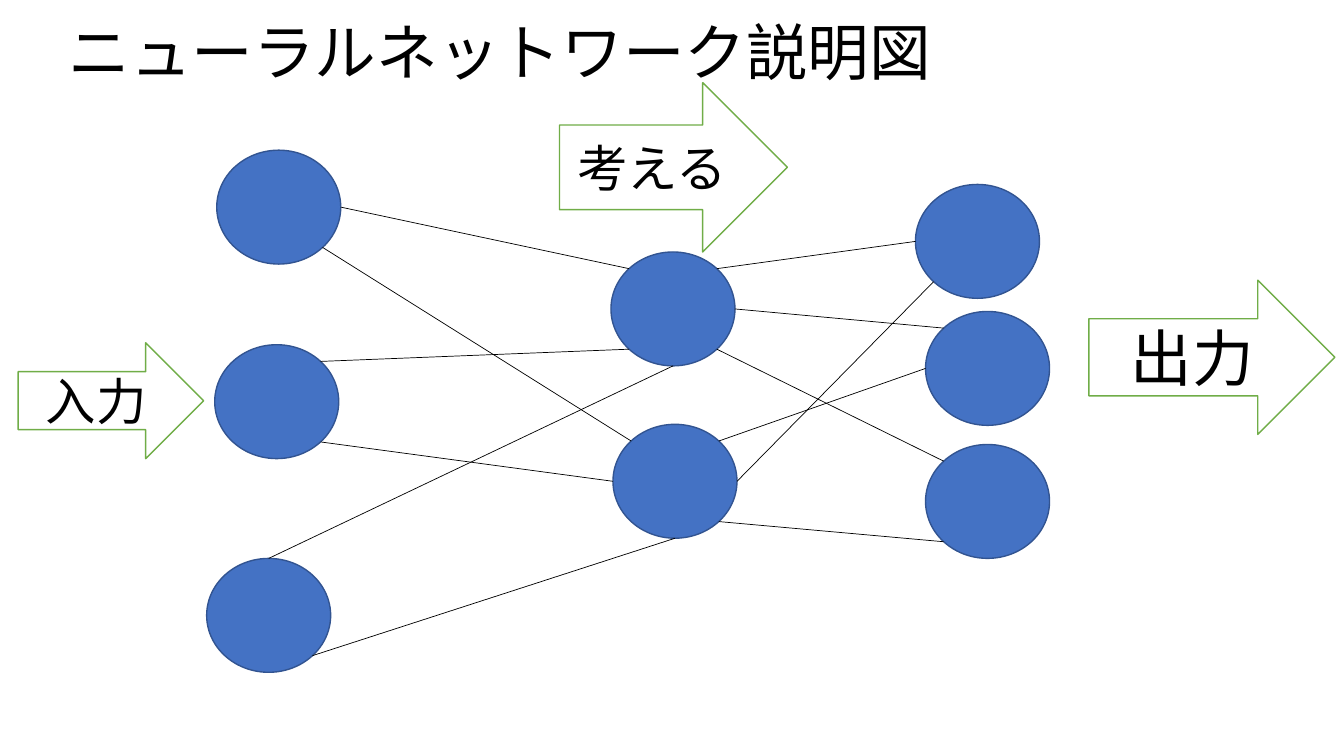
from math import cos, sin, radians
from lxml import etree
from pptx import Presentation
from pptx.dml.color import RGBColor
from pptx.enum import shapes, text
from pptx.oxml import ns
from pptx.util import Emu, Pt

PX = 9144  # 100 px to the inch
FONT = "Noto Sans CJK JP"
BLACK = RGBColor(0x00, 0x00, 0x00)
WHITE = RGBColor(0xFF, 0xFF, 0xFF)
BLUE = RGBColor(0x44, 0x72, 0xC4)
NAVY = RGBColor(0x32, 0x54, 0x91)
GREEN = RGBColor(0x70, 0xAD, 0x47)
WIDE, HIGH = 123, 113  # node size


def write(frame, words, size, align):
    frame.vertical_anchor = text.MSO_ANCHOR.MIDDLE
    para = frame.paragraphs[0]
    para.alignment = align
    run = para.add_run()
    run.text = words
    run.font.size = Pt(size)
    run.font.name = FONT
    run.font.color.rgb = BLACK
    etree.SubElement(run.font._element, ns.qn("a:ea"), typeface=FONT)
    return para


def draw(kind, box, fill, edge):
    shape = slide.shapes.add_shape(kind, *[Emu(v * PX) for v in box])
    shape.shadow.inherit = False
    shape.fill.solid()
    shape.fill.fore_color.rgb = fill
    shape.line.color.rgb = edge
    shape.line.width = Pt(1)
    return shape


prs = Presentation()
prs.slide_width, prs.slide_height = Emu(1333 * PX), Emu(750 * PX)
slide = prs.slides.add_slide(prs.slide_layouts[5])

# Title
title = slide.shapes.title
title.left, title.top = Emu(58 * PX), Emu(-1 * PX)
title.width, title.height = Emu(1150 * PX), Emu(113 * PX)
title.text_frame.auto_size = text.MSO_AUTO_SIZE.NONE
head = write(title.text_frame, "ニューラルネットワーク説明図", 44, text.PP_ALIGN.LEFT)
head.line_spacing = 0.9

# Nodes: input, hidden and output layers
nodes = {
    "in1": (215, 149), "in2": (213, 342), "in3": (205, 554),
    "mid1": (606, 250), "mid2": (608, 421),
    "out1": (908, 183), "out2": (918, 309), "out3": (918, 441),
}
for left, top in nodes.values():
    draw(shapes.MSO_SHAPE.OVAL, (left, top, WIDE, HIGH), BLUE, NAVY)

# Links run between compass points on the node rims
turns = {"E": 0, "SE": 45, "S": 90, "SW": 135, "W": 180, "NW": 225, "N": 270, "NE": 315}
links = [
    ("in1", "E", "mid1", "NW"), ("in1", "SE", "mid2", "NW"),
    ("in2", "NE", "mid1", "SW"), ("in2", "SE", "mid2", "W"),
    ("in3", "N", "mid1", "S"), ("in3", "SE", "mid2", "S"),
    ("mid1", "NE", "out1", "W"), ("mid1", "E", "out2", "NW"),
    ("mid1", "SE", "out3", "NW"), ("mid2", "E", "out1", "SW"),
    ("out2", "W", "mid2", "NE"), ("mid2", "SE", "out3", "SW"),
]
for start, side, end, face in links:
    ends = []
    for name, point in ((start, side), (end, face)):
        left, top = nodes[name]
        turn = radians(turns[point])
        ends.append(Emu(round((left + WIDE / 2 * (1 + cos(turn))) * PX)))
        ends.append(Emu(round((top + HIGH / 2 * (1 + sin(turn))) * PX)))
    link = slide.shapes.add_connector(shapes.MSO_CONNECTOR.STRAIGHT, *ends)
    link.line.color.rgb = BLACK
    link.line.width = Pt(0.5)
    etree.SubElement(link._element.spPr, ns.qn("a:effectLst"))

# Stage arrows
for words, size, box in [
    ("出力", 44, (1080, 278, 244, 153)),
    ("入力", 36, (18, 340, 184, 115)),
    ("考える", 36, (555, 82, 226, 168)),
]:
    arrow = draw(shapes.MSO_SHAPE.RIGHT_ARROW, box, WHITE, GREEN)
    write(arrow.text_frame, words, size, text.PP_ALIGN.CENTER)

prs.save("out.pptx")
